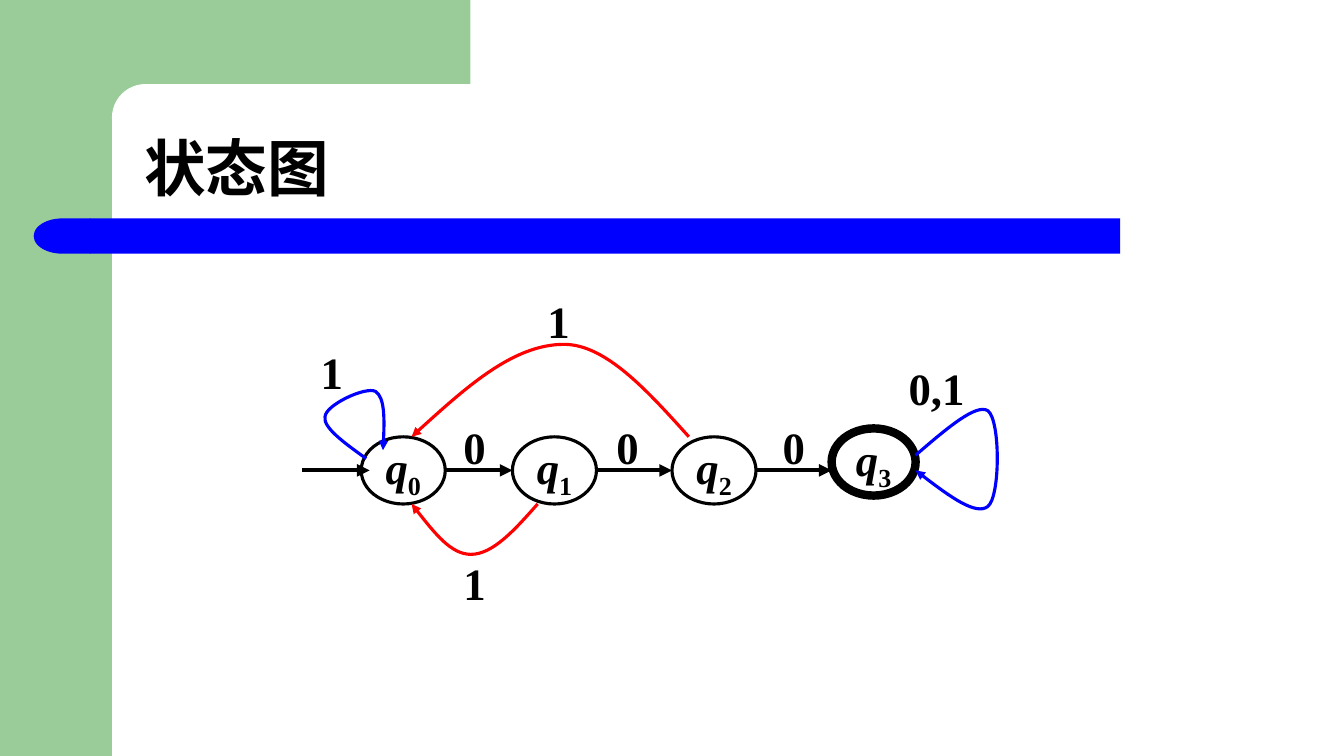
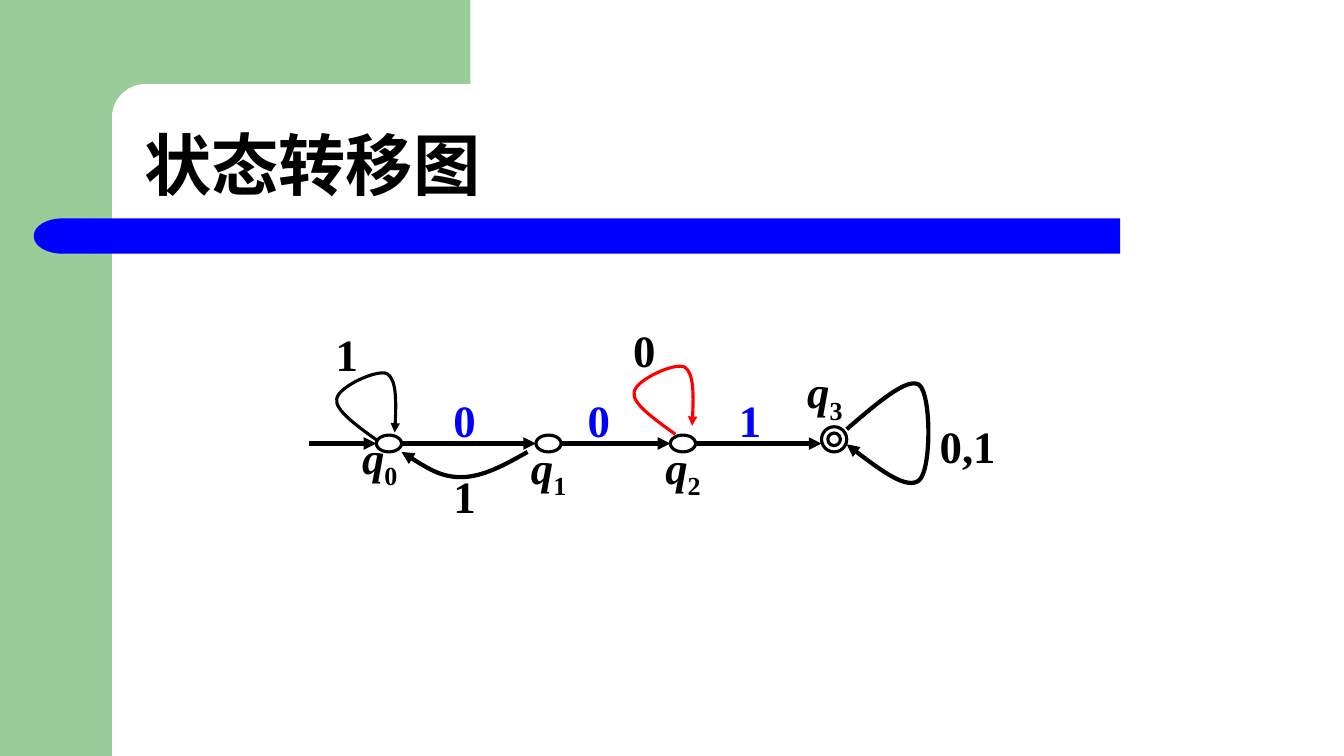
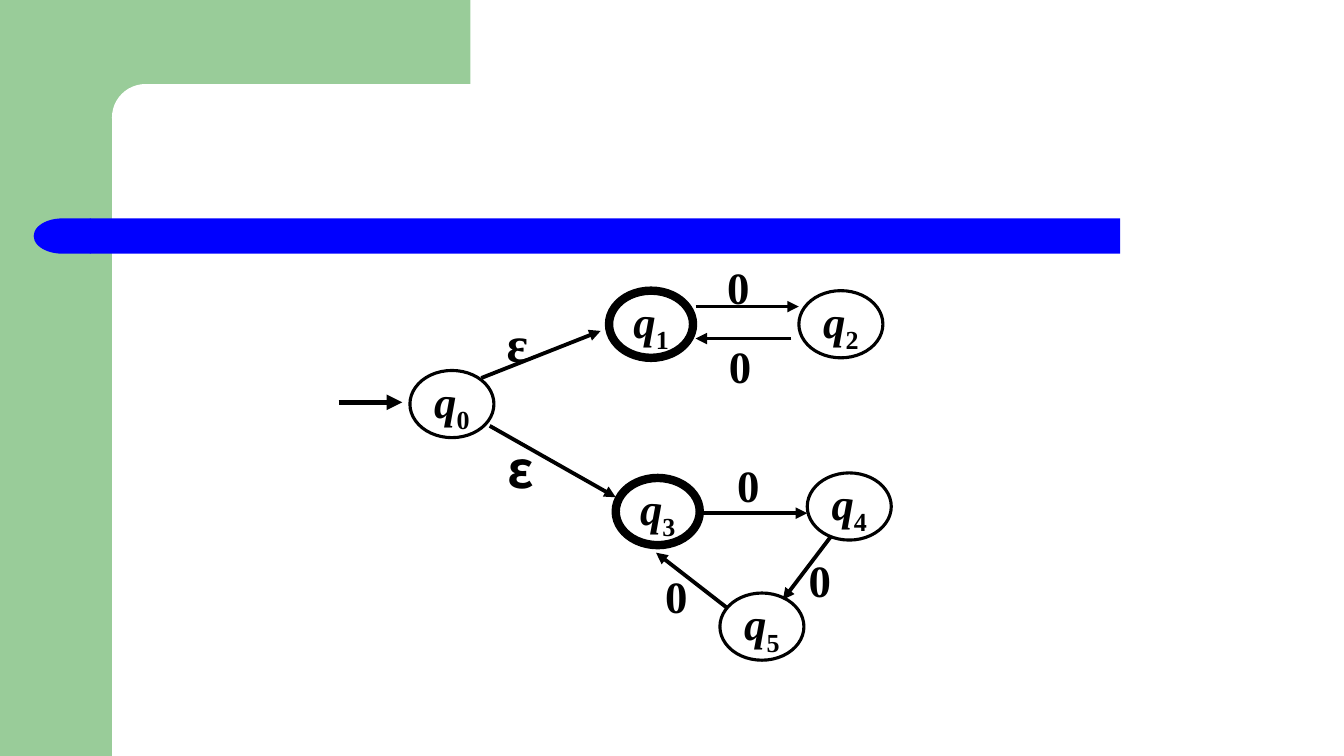
from lxml.etree import SubElement
from pptx import Presentation
from pptx.dml.color import RGBColor
from pptx.enum.shapes import MSO_CONNECTOR, MSO_SHAPE as SHAPE
from pptx.enum.text import MSO_ANCHOR as ANCHOR, PP_ALIGN as ALIGN
from pptx.oxml.ns import qn
from pptx.util import Inches, Pt

# The slide is a grid of 160 columns by 90 rows
WIDTH, HEIGHT = Inches(13.333), Inches(7.5)
COLUMNS, ROWS = 160, 90
CELL = HEIGHT / ROWS

GREEN, BLUE, RED, BLACK, WHITE = "99CC99", "0000FF", "FF0000", "000000", "FFFFFF"
SERIF, SANS = "Times New Roman", "Noto Sans CJK SC"

STATE_WIDTH, STATE_HEIGHT = 10, 8
FINAL_LINE = 6

# Bezier points in cells, relative to where the loop leaves its state
SMALL_LOOP = [(0, 0), (-2.5, -1.8), (-5.2, -3.7), (-4.9, -5),
              (-4.8, -6.4), (-0.1, -8.6), (1.1, -8),
              (2.2, -7.3), (2.2, -4.2), (2, -1)]
WIDE_LOOP = [(0, 0), (3.6, -3.1), (7.2, -6.2), (8.6, -5.3),
             (10.1, -4.2), (10.1, 4.9), (8.6, 6.1),
             (7.2, 7.2), (3.6, 4.6), (0, 1.8)]


def cells(*lengths):
    return [round(length * CELL) for length in lengths]


def color(hex_string):
    return RGBColor.from_string(hex_string)


def write(shape, text, size=32, font=SERIF, anchor=ANCHOR.MIDDLE, align=ALIGN.CENTER,
          fill=BLACK, wrap=True, inset=None, spacing=None):
    """Bold text; a name such as q_0 becomes an italic letter with a subscript."""
    frame = shape.text_frame
    frame.word_wrap = wrap
    frame.vertical_anchor = anchor
    if inset is not None:
        frame.margin_left = frame.margin_right = inset
        frame.margin_top = frame.margin_bottom = inset
    paragraph = frame.paragraphs[0]
    paragraph.alignment = align
    if spacing:
        paragraph.line_spacing = spacing
    name, underscore, index = text.partition("_")
    for part in filter(None, (name, index)):
        run = paragraph.add_run()
        run.text = part
        run.font.size, run.font.name, run.font.bold = Pt(size), font, True
        run.font.italic = bool(underscore) and part is name
        run.font.color.rgb = color(fill)
        properties = run._r.get_or_add_rPr()
        SubElement(properties, qn("a:ea")).set("typeface", font)
        if part is index:
            properties.set("baseline", "-25000")


def add_block(slide, kind, left, top, width, height, fill=None, line=None, weight=2.25):
    shape = slide.shapes.add_shape(kind, *cells(left, top, width, height))
    shape.shadow.inherit = False
    if fill:
        shape.fill.solid()
        shape.fill.fore_color.rgb = color(fill)
    else:
        shape.fill.background()
    if line:
        outline(shape, line, weight)
    else:
        shape.line.fill.background()
    return shape


def outline(shape, line, weight, arrow=False):
    shape.line.color.rgb = color(line)
    shape.line.width = Pt(weight)
    if arrow:
        tail = SubElement(shape.line._get_or_add_ln(), qn("a:tailEnd"))
        tail.set("type", "triangle")


class Diagram:
    """State diagram; every position is in cells from the start of its entry arrow."""

    def __init__(self, slide, left, top):
        self.slide, self.left, self.top = slide, left, top

    def move(self, x, y):
        return self.left + x, self.top + y

    def state(self, name, x, y, weight=2.25):
        ellipse = add_block(self.slide, SHAPE.OVAL, *self.move(x, y),
                            STATE_WIDTH, STATE_HEIGHT, line=BLACK, weight=weight)
        write(ellipse, name, wrap=False)

    def node(self, kind, x, width, height, y):
        return add_block(self.slide, kind, *self.move(x, y), width, height, line=BLACK)

    def label(self, text, x, y, **style):
        """Text centred on the point x, y."""
        width = 7 if len(text) > 1 else 4
        height = 6.5
        left, top = self.move(x - width / 2, y - height / 2)
        box = self.slide.shapes.add_textbox(*cells(left, top, width, height))
        write(box, text, inset=0, **style)

    def arrow(self, x1, y1, x2, y2, weight=3):
        ends = cells(*self.move(x1, y1), *self.move(x2, y2))
        connector = self.slide.shapes.add_connector(MSO_CONNECTOR.STRAIGHT, *ends)
        outline(connector, BLACK, weight, arrow=True)
        SubElement(connector._element.spPr, qn("a:effectLst"))

    def curve(self, points, x, y, line=BLACK, weight=2.25):
        """Arrow along Bezier points given relative to x, y."""
        start, *rest = [tuple(cells(*self.move(x + dx, y + dy))) for dx, dy in points]
        builder = self.slide.shapes.build_freeform(*start)
        builder.add_line_segments(rest, close=False)
        shape = builder.convert_to_shape()
        shape.shadow.inherit = False
        shape.fill.background()
        outline(shape, line, weight, arrow=True)
        # Each three straight segments become one Bezier segment
        track = next(shape._element.iter(qn("a:path")))
        segments = track.findall(qn("a:lnTo"))
        for first in range(0, len(segments), 3):
            bezier = SubElement(track, qn("a:cubicBezTo"))
            for segment in segments[first:first + 3]:
                bezier.append(segment[0])
                track.remove(segment)

    def arc(self, x1, x2, y, depth, peak=0.5, **style):
        """Arrow from x1 to x2 that bulges by depth at the given share of its span."""
        rise, fall = peak / 3, (1 - peak) / 3
        shares = [(0, 0), (rise, 0.5), (2 * rise, 1), (peak, 1),
                  (peak + fall, 1), (peak + 2 * fall, 0.5), (1, 0)]
        points = [((x2 - x1) * along, depth * out) for along, out in shares]
        self.curve(points, x1, y, **style)


def add_frame(presentation, title=None, size=44):
    slide = presentation.slides.add_slide(presentation.slide_layouts[6])
    # Green corner with its rounded inner edge
    add_block(slide, SHAPE.RECTANGLE, 0, 0, 13.33, ROWS, GREEN)
    add_block(slide, SHAPE.RECTANGLE, 12, 0, 44, 14, GREEN)
    corner = add_block(slide, SHAPE.ROUNDED_RECTANGLE, 13.33, 10, 89.3, 8, WHITE)
    corner.adjustments[0] = 0.5
    # Blue bar with a round left end
    add_block(slide, SHAPE.RECTANGLE, 10.7, 26, 122.64, 4.2, BLUE)
    add_block(slide, SHAPE.FLOWCHART_DELAY, 4, 26, 6.8, 4.2, BLUE).rotation = 180
    if title:
        box = slide.shapes.add_textbox(*cells(16, 10, 140, 15))
        write(box, title, size=size, font=SANS, anchor=ANCHOR.BOTTOM,
              align=ALIGN.LEFT, spacing=0.9)
    return slide


def draw_state_diagram(slide, left, top):
    diagram = Diagram(slide, left, top)
    # States in a row, joined by arrows
    stops = [7, 25, 44, 63]
    diagram.arrow(0, 0, 8, 0)
    for here, following in zip(stops, stops[1:]):
        diagram.arrow(here + STATE_WIDTH, 0, following, 0)
    for index, x in enumerate(stops[:-1]):
        diagram.state(f"q_{index}", x, -4)
    diagram.state("q_3", stops[-1], -5, weight=FINAL_LINE)
    # Loops and ways back
    diagram.curve(SMALL_LOOP, 7.6, -1.4, line=BLUE)
    diagram.curve(WIDE_LOOP, 73, -1.8, line=BLUE)
    diagram.arc(28, 13, 4, 6, peak=0.53, line=RED)
    diagram.arc(46, 13, -4, -11, peak=0.45, line=RED)
    # Input symbols
    for text, x, y in [("0", 20.5, -2.8), ("0", 38.7, -2.8), ("0", 58.5, -2.8),
                       ("1", 3.5, -11.8), ("1", 30.5, -17.8), ("1", 20.5, 13.3),
                       ("0,1", 75.5, -9.8)]:
        diagram.label(text, x, y)


def draw_transition_diagram(slide, left, top):
    diagram = Diagram(slide, left, top)
    # Small nodes in a row, joined by arrows
    stops, node_width = [8, 27, 43, 61], 3
    diagram.arrow(0, 0, stops[0], 0)
    for here, following in zip(stops, stops[1:]):
        diagram.arrow(here + node_width, 0, following, 0)
        diagram.node(SHAPE.OVAL, here, node_width, 2, -1)
    diagram.node(SHAPE.DONUT, stops[-1], node_width, 3, -2)
    # Loops and the way back
    diagram.curve(SMALL_LOOP, 8.2, -0.3)
    diagram.curve(SMALL_LOOP, 43.6, -1.1, line=RED)
    diagram.curve(WIDE_LOOP, 64, -1.7, weight=3)
    diagram.arc(26, 11, 1, 3, peak=0.53, weight=3)
    # State names and input symbols
    for text, x, y in [("q_0", 8.4, 2), ("q_1", 28.5, 3.2), ("q_2", 44.5, 3.2),
                       ("q_3", 61.4, -5.8), ("1", 4.5, -10.7), ("1", 18.5, 6.2),
                       ("0", 39.9, -11.2), ("0,1", 78.4, 0.2)]:
        diagram.label(text, x, y)
    for text, x in [("0", 18.5), ("0", 34.5), ("1", 52.5)]:
        diagram.label(text, x, -2.8, fill=BLUE)


def draw_epsilon_diagram(slide, left, top):
    diagram = Diagram(slide, left, top)
    # States
    for name, x, y in [("q_0", 8.5, -3.8), ("q_2", 54.8, -13.3),
                       ("q_4", 55.8, 8.4), ("q_5", 45.4, 22.7)]:
        diagram.state(name, x, y)
    for name, x, y in [("q_1", 32.2, -13.3), ("q_3", 33, 9)]:
        diagram.state(name, x, y, weight=FINAL_LINE)
    # Transitions
    diagram.arrow(0, 0, 7.6, 0, weight=3.75)
    for ends in [(17, -2.9, 31.2, -8.5), (18, 2.8, 33, 11.3),
                 (42.5, -11.4, 54.8, -11.4), (53.9, -7.6, 42.5, -7.6),
                 (43, 13.2, 55.8, 13.2), (58.6, 16, 52.9, 23.5),
                 (46.3, 24.5, 37.8, 17.9)]:
        diagram.arrow(*ends, weight=2.75)
    # Input symbols
    diagram.label("ε", 21.3, -7.2, size=36)
    diagram.label("ε", 21.7, 7.9, size=36, font=SANS)
    for x, y in [(47.6, -13.8), (47.8, -4.4), (48.8, 9.8), (57.3, 21.1), (40.2, 23)]:
        diagram.label("0", x, y)


presentation = Presentation()
presentation.slide_width, presentation.slide_height = WIDTH, HEIGHT
draw_state_diagram(add_frame(presentation, "状态图"), 36, 56)
draw_transition_diagram(add_frame(presentation, "状态转移图", size=48), 36.8, 52.8)
draw_epsilon_diagram(add_frame(presentation), 40.3, 47.9)
presentation.save("out.pptx")
